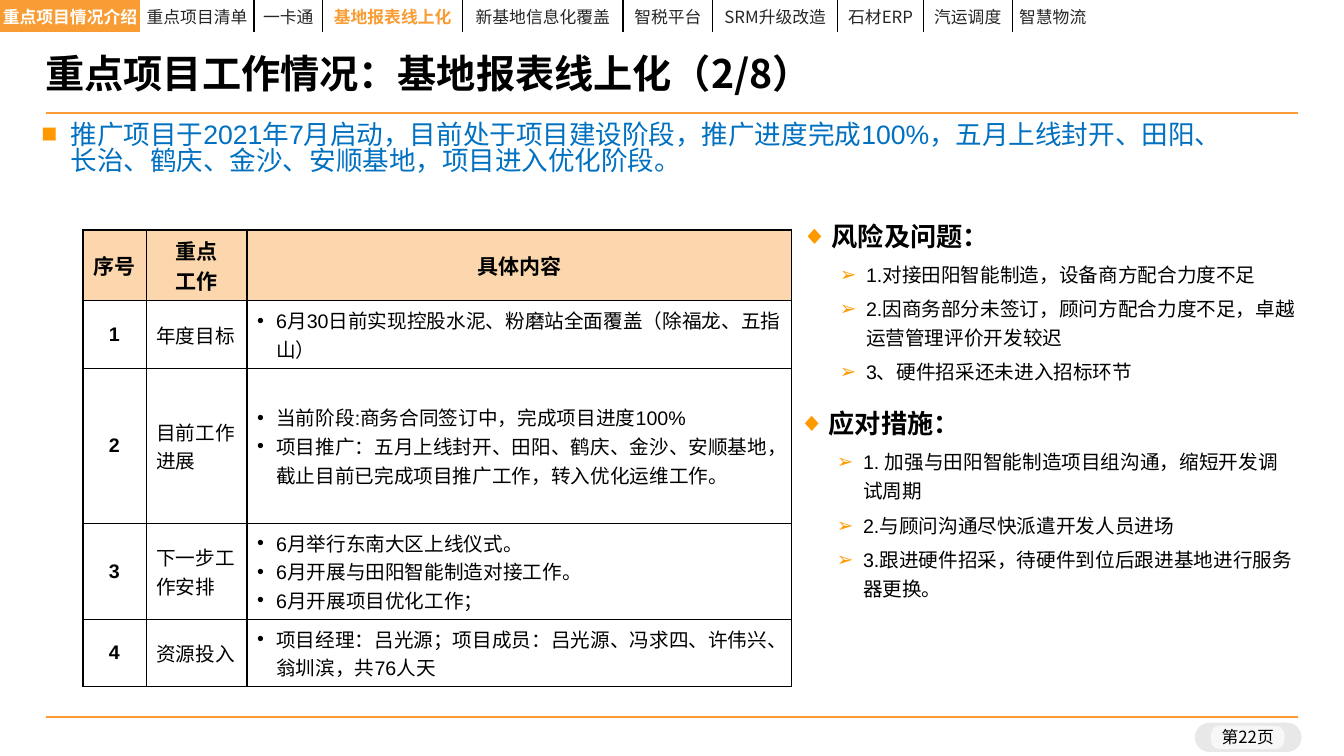
from dataclasses import dataclass

from lxml.etree import SubElement
from pptx import Presentation
from pptx.dml.color import RGBColor
from pptx.enum.shapes import MSO_CONNECTOR, MSO_SHAPE
from pptx.enum.text import MSO_ANCHOR, MSO_AUTO_SIZE, PP_ALIGN
from pptx.oxml.ns import qn
from pptx.util import Inches, Pt

WIDTH, HEIGHT = Inches(13.33), Inches(7.5)


@dataclass(frozen=True)
class Theme:
    latin: str = "Arial"
    cjk: str = "Noto Sans CJK SC"
    black: str = "000000"
    white: str = "FFFFFF"
    dark: str = "262626"
    blue: str = "0070C0"
    rule: str = "FF9933"
    bullet: str = "FF9900"
    tab: str = "F89C33"
    header: str = "FCD7AD"
    title: float = 28
    lead: float = 19
    section: float = 18.7
    heading: float = 15
    text: float = 14
    small: float = 12


THEME = Theme()

TABS = ["重点项目情况介绍", "重点项目清单", "一卡通", "基地报表线上化", "新基地信息化覆盖",
        "智税平台", "SRM升级改造", "石材ERP", "汽运调度", "智慧物流"]
TAB_WIDTHS = [1.39, 1.13, 0.68, 1.39, 1.59, 0.89, 1.24, 0.85, 0.88, 3.26]
ACTIVE_TAB = "基地报表线上化"

WORK_HEADER = ["序号", "重点\n工作", "具体内容"]
WORK_ROWS = [
    ["1", "年度目标", "6月30日前实现控股水泥、粉磨站全面覆盖（除福龙、五指山）"],
    ["2", "目前工作进展", "当前阶段:商务合同签订中，完成项目进度100%\n"
     "项目推广：五月上线封开、田阳、鹤庆、金沙、安顺基地，截止目前已完成项目推广工作，转入优化运维工作。"],
    ["3", "下一步工作安排",
     "6月举行东南大区上线仪式。\n6月开展与田阳智能制造对接工作。\n6月开展项目优化工作；"],
    ["4", "资源投入", "项目经理：吕光源；项目成员：吕光源、冯求四、许伟兴、翁圳滨，共76人天"],
]
WORK_WIDTHS = [0.63, 1, 5.4]
WORK_HEIGHTS = [0.7, 0.67, 1.54, 0.95, 0.67]

LEAD = ("推广项目于2021年7月启动，目前处于项目建设阶段，推广进度完成100%，"
        "五月上线封开、田阳、长治、鹤庆、金沙、安顺基地，项目进入优化阶段。")
RISKS = ["1.对接田阳智能制造，设备商方配合力度不足",
         "2.因商务部分未签订，顾问方配合力度不足，卓越运营管理评价开发较迟",
         "3、硬件招采还未进入招标环节"]
ACTIONS = ["1. 加强与田阳智能制造项目组沟通，缩短开发调试周期",
           "2.与顾问沟通尽快派遣开发人员进场",
           "3.跟进硬件招采，待硬件到位后跟进基地进行服务器更换。"]


def area(left, top, width, height):
    """Turn percentages of the slide into lengths."""
    return (int(WIDTH * left / 100), int(HEIGHT * top / 100),
            int(WIDTH * width / 100), int(HEIGHT * height / 100))


def style(para, size, color, bold=False, latin=THEME.latin, align=PP_ALIGN.LEFT,
          spacing=1.0, before=0):
    para.alignment, para.line_spacing, para.space_before = align, spacing, Pt(before)
    font = para.font
    font.size, font.bold, font.name = Pt(size), bold, latin
    font.color.rgb = RGBColor.from_string(color)
    defaults = para._p.pPr.find(qn("a:defRPr"))
    SubElement(defaults, qn("a:ea"), typeface=THEME.cjk)


def add_bullet(para, char, color, left, hanging):
    props = para._p.get_or_add_pPr()
    props.set("marL", str(Inches(left)))
    props.set("indent", str(-Inches(hanging)))
    SubElement(SubElement(props, qn("a:buClr")), qn("a:srgbClr"), val=color)
    SubElement(props, qn("a:buFont"), typeface=THEME.latin)
    SubElement(props, qn("a:buChar"), char=char)


def set_insets(box, side, top, bottom):
    box.margin_left = box.margin_right = Inches(side)
    box.margin_top, box.margin_bottom = Inches(top), Inches(bottom)


def place(holder, spot, side, top, bottom, anchor=MSO_ANCHOR.TOP):
    holder.left, holder.top, holder.width, holder.height = area(*spot)
    frame = holder.text_frame
    frame.word_wrap, frame.auto_size = True, MSO_AUTO_SIZE.NONE
    frame.vertical_anchor = anchor
    set_insets(frame, side, top, bottom)
    return frame


def fill_section(holder, spot, heading, items):
    frame = place(holder, spot, 0.13, 0.07, 0.07)
    frame.text = "\n".join([heading, *items])
    first, *rest = frame.paragraphs
    add_bullet(first, "◆", THEME.bullet, 0.3, 0.3)
    style(first, THEME.section, THEME.black, bold=True, spacing=0.9)
    for para in rest:
        para.level = 1
        add_bullet(para, "➢", THEME.bullet, 0.64, 0.26)
        style(para, THEME.text, THEME.black, spacing=1.23, before=3.8)


def add_rule(page, height):
    left, top, width, _ = area(3.45, height, 93.1, 0)
    rule = page.shapes.add_connector(MSO_CONNECTOR.STRAIGHT, left, top, left + width, top)
    rule.line.color.rgb, rule.line.width = RGBColor.from_string(THEME.rule), Pt(1.5)
    SubElement(rule._element.spPr, qn("a:effectLst"))


def add_pill(page, spot, color, opacity, rounding):
    pill = page.shapes.add_shape(MSO_SHAPE.ROUNDED_RECTANGLE, *area(*spot))
    pill.adjustments[0] = rounding
    pill.shadow.inherit = False
    pill.line.fill.background()
    pill.fill.solid()
    pill.fill.fore_color.rgb = RGBColor.from_string(color)
    tint = pill._element.spPr.find(".//" + qn("a:srgbClr"))
    SubElement(tint, qn("a:alpha"), val=str(opacity * 1000))


def add_grid(page, spot, widths, heights):
    frame = page.shapes.add_table(len(heights), len(widths), *area(*spot))
    table = frame.table
    table.first_row = table.horz_banding = False
    for column, width in zip(table.columns, widths):
        column.width = Inches(width)
    for row, height in zip(table.rows, heights):
        row.height = Inches(height)
    return table


def format_cell(cell, text, fill, borders, side, inset):
    """Borders map a side (L, R, T, B) to a colour and a width in points."""
    cell.text = text
    cell.vertical_anchor = MSO_ANCHOR.MIDDLE
    set_insets(cell, side, inset, inset)
    props = cell._tc.get_or_add_tcPr()
    for edge in "LRTB":
        color, width = borders.get(edge, (None, 0))
        line = SubElement(props, qn(f"a:ln{edge}"), w=str(Pt(width)))
        if color:
            SubElement(SubElement(line, qn("a:solidFill")), qn("a:srgbClr"), val=color)
        else:
            SubElement(line, qn("a:noFill"))
    if fill:
        cell.fill.solid()
        cell.fill.fore_color.rgb = RGBColor.from_string(fill)
    else:
        cell.fill.background()
    return cell.text_frame.paragraphs


def add_tabs(page):
    table = add_grid(page, (0, 0, 99.77, 3.87), TAB_WIDTHS, [0.29])
    last = len(TABS) - 1
    for index, name in enumerate(TABS):
        borders = {"T": (THEME.white, 1)} if index else {}
        if index > 1:
            borders["L"] = (THEME.black, 1)
        if 0 < index < last:
            borders["R"] = (THEME.black, 1)
        fill = None if index else THEME.tab
        side = 0.07 if index == last else 0
        para, = format_cell(table.cell(0, index), name, fill, borders, side, 0.04)
        active = name == ACTIVE_TAB
        color = THEME.tab if active else THEME.dark if index else THEME.white
        style(para, THEME.small, color, bold=active or index == 0, latin=THEME.cjk,
              align=PP_ALIGN.LEFT if index == last else PP_ALIGN.CENTER)


def add_work_table(page):
    table = add_grid(page, (6.15, 30.4, 52.74, 60.4), WORK_WIDTHS, WORK_HEIGHTS)
    for row, texts in enumerate([WORK_HEADER, *WORK_ROWS]):
        for column, text in enumerate(texts):
            outer = {"L": column == 0, "R": column == 2, "T": row == 0, "B": False}
            borders = {edge: (THEME.black, 1.5 if thick else 1)
                       for edge, thick in outer.items()}
            strong = row == 0 or column == 0
            fill = THEME.header if row == 0 else None
            for para in format_cell(table.cell(row, column), text, fill, borders, 0.1, 0.05):
                if row and column == 2:
                    add_bullet(para, "•", THEME.black, 0.19, 0.19)
                style(para, THEME.text if row else THEME.heading, THEME.black, bold=strong,
                      align=PP_ALIGN.CENTER if strong else PP_ALIGN.LEFT)


def add_page_number(page):
    add_pill(page, (88.9, 95.6, 7.95, 3.87), THEME.black, 9, 0.5)
    add_pill(page, (90.1, 96, 5.48, 3.07), THEME.white, 66, 0.36)
    label = page.shapes.add_textbox(0, 0, 0, 0)
    frame = place(label, (88.82, 95.6, 8.03, 4.13), 0, 0.04, 0.04, MSO_ANCHOR.MIDDLE)
    frame.text = "第22页"
    style(frame.paragraphs[0], THEME.small, THEME.black, latin=THEME.cjk,
          align=PP_ALIGN.CENTER, spacing=0.85)


def main():
    deck = Presentation()
    deck.slide_width, deck.slide_height = WIDTH, HEIGHT
    page = deck.slides.add_slide(deck.slide_layouts[4])
    title, lead, risks, spare, actions = page.placeholders
    spare._element.getparent().remove(spare._element)

    # Frame of the page
    for height in (14.93, 94.8):
        add_rule(page, height)
    add_page_number(page)

    # Title and lead statement
    frame = place(title, (2.63, 6.27, 92.8, 7.47), 0.1, 0.05, 0.05, MSO_ANCHOR.MIDDLE)
    frame.text = "重点项目工作情况：基地报表线上化（2/8）"
    style(frame.paragraphs[0], THEME.title, THEME.black, bold=True, latin=THEME.cjk,
          spacing=0.9)
    frame = place(lead, (2.33, 15.07, 91.15, 13.33), 0.1, 0.09, 0.05)
    frame.text = LEAD
    add_bullet(frame.paragraphs[0], "■", THEME.bullet, 0.29, 0.29)
    style(frame.paragraphs[0], THEME.lead, THEME.blue, spacing=0.83)

    # Risks and countermeasures
    fill_section(risks, (58.66, 28.67, 38.71, 19.47), "风险及问题：", RISKS)
    fill_section(actions, (58.44, 53.47, 38.93, 33.6), "应对措施：", ACTIONS)

    # Tables
    add_work_table(page)
    add_tabs(page)
    deck.save("out.pptx")


if __name__ == "__main__":
    main()
